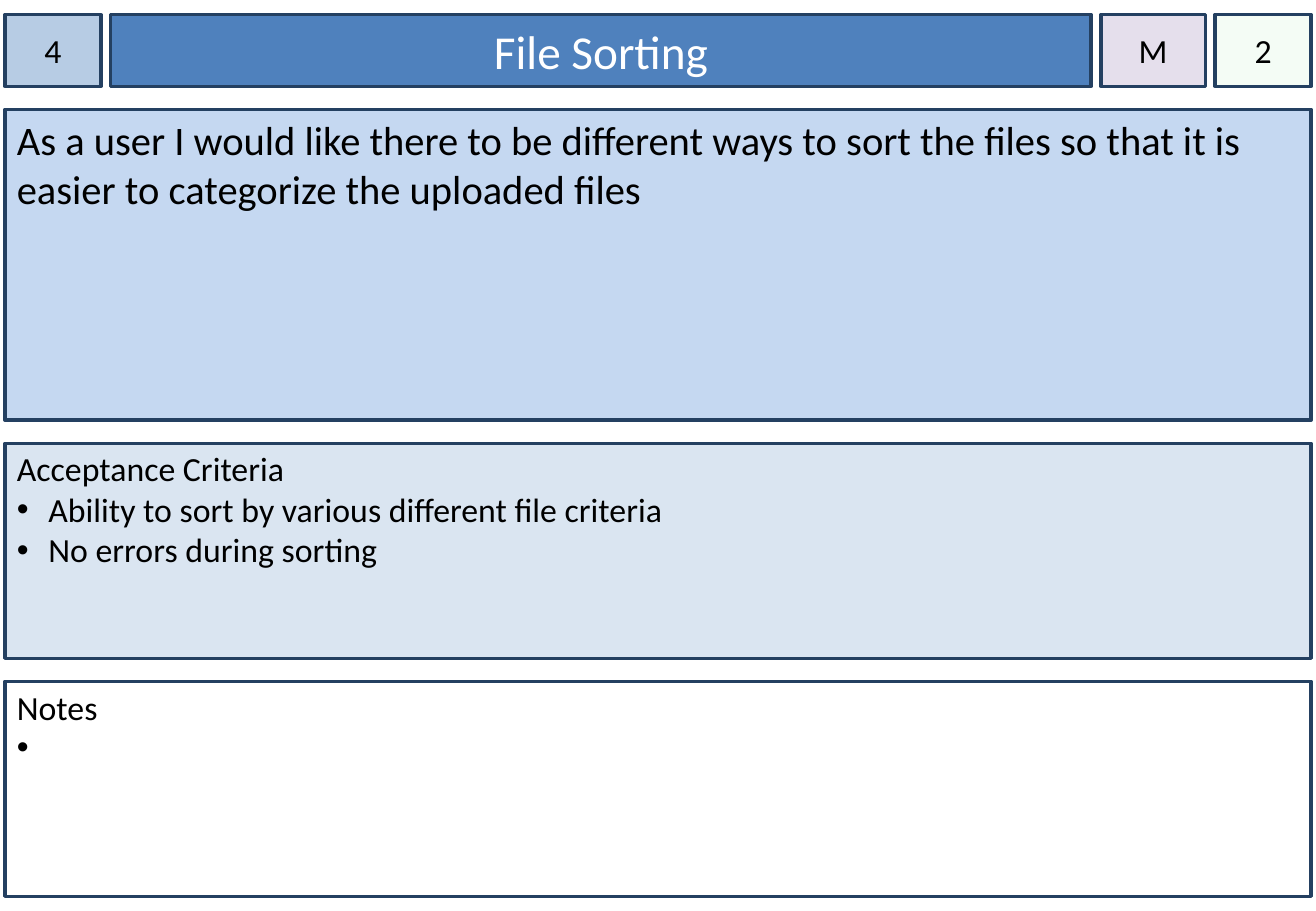
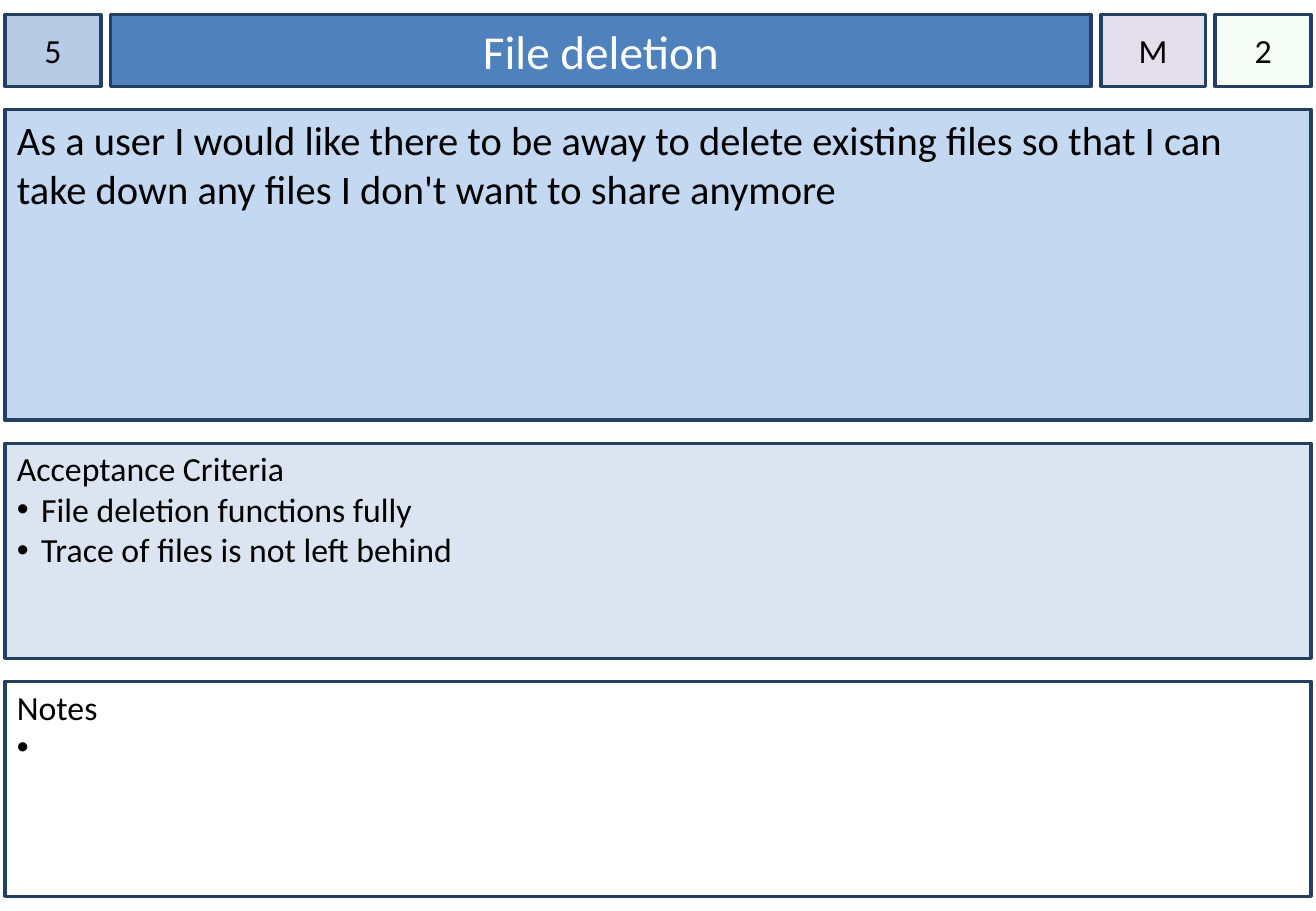
from lxml.etree import SubElement
from pptx import Presentation
from pptx.dml.color import RGBColor
from pptx.enum.shapes import MSO_SHAPE
from pptx.enum.text import MSO_ANCHOR, PP_ALIGN
from pptx.oxml.ns import qn
from pptx.util import Pt

PX = 9144  # EMU in one px, 100 px to the inch
SLIDE_WIDTH, SLIDE_HEIGHT = 1083, 750
LEFT, TOP, CARD_WIDTH = 4, 12, 1075
HEADER_HEIGHT, COLUMN_GAP, ROW_GAP = 59, 8, 19
FONT = "Calibri"

COLORS = {
    "border": "244061", "text": "000000", "title_text": "FFFFFF",
    "number": "B7CCE4", "title": "4F81BD", "priority": "E5DFEC", "estimate": "CCF0CD",
    "story": "C5D8F1", "criteria": "DAE5F1", "notes": "FFFFFF",
}

# Header cells from left to right, then panels from top to bottom
HEADER_WIDTHS = {"number": 79, "title": 807, "priority": 86, "estimate": 79}
PANEL_HEIGHTS = {"story": 256, "criteria": 177, "notes": 177}
OPACITY = {"estimate": 20}
SIZES = {"title": 28, "story": 24}
DEFAULT_SIZE = 20

CARDS = [
    {
        "number": "4", "title": "File Sorting", "priority": "M", "estimate": "2",
        "story": "As a user I would like there to be different ways to sort the files "
                 "so that it is easier to categorize the uploaded files",
        "criteria": ["Ability to sort by various different file criteria",
                     "No errors during sorting"],
        "bullet_indent": 26,
    },
    {
        "number": "5", "title": "File deletion", "priority": "M", "estimate": "2",
        "story": "As a user I would like there to be away to delete existing files "
                 "so that I can take down any files I don't want to share anymore",
        "criteria": ["File deletion functions fully",
                     "Trace of files is not left behind"],
        "bullet_indent": 20,
    },
]


def color(name):
    return RGBColor.from_string(COLORS[name])


def set_attributes(target, values):
    for name, value in values.items():
        setattr(target, name, value)


def add_box(slide, part, left, top, width, height, frame_format):
    """Add a bordered box in the colour of its part and return its text frame."""
    shape = slide.shapes.add_shape(
        MSO_SHAPE.RECTANGLE, *(length * PX for length in (left, top, width, height)))
    shape.shadow.inherit = False
    shape.fill.solid()
    shape.fill.fore_color.rgb = color(part)
    if part in OPACITY:
        fill_color = shape.fill._xPr.find(f"{qn('a:solidFill')}/{qn('a:srgbClr')}")
        SubElement(fill_color, qn("a:alpha"), val=str(OPACITY[part] * 1000))
    shape.line.color.rgb = color("border")
    shape.line.width = Pt(2)
    set_attributes(shape.text_frame, {"word_wrap": True, "margin_bottom": 5 * PX, **frame_format})
    return shape.text_frame


def write_paragraph(paragraph, text, part, alignment=PP_ALIGN.LEFT):
    paragraph.alignment = alignment
    run = paragraph.add_run()
    run.text = text
    set_attributes(run.font, {"name": FONT, "size": Pt(SIZES.get(part, DEFAULT_SIZE))})
    run.font.color.rgb = color("title_text" if part == "title" else "text")


def add_bullet(paragraph, indent):
    properties = paragraph._p.get_or_add_pPr()
    properties.set("marL", str(indent * PX))
    properties.set("indent", str(-indent * PX))
    bullet_color = SubElement(properties, qn("a:buClr"))
    SubElement(bullet_color, qn("a:srgbClr"), val=COLORS["text"])
    SubElement(properties, qn("a:buFont"), typeface="Arial")
    SubElement(properties, qn("a:buChar"), char="•")


def add_header(slide, card):
    left = LEFT
    for part, width in HEADER_WIDTHS.items():
        side_margin = 10 * PX if part == "title" else 0
        text_frame = add_box(slide, part, left, TOP, width, HEADER_HEIGHT, {
            "vertical_anchor": MSO_ANCHOR.MIDDLE, "margin_top": 5 * PX,
            "margin_left": side_margin, "margin_right": side_margin})
        write_paragraph(text_frame.paragraphs[0], card[part], part, PP_ALIGN.CENTER)
        left += width + COLUMN_GAP


def add_panels(slide, card):
    # Each panel has a lead text and bullets; an open bullet waits for notes
    contents = {
        "story": (card["story"], [], 0),
        "criteria": ("Acceptance Criteria", card["criteria"], card["bullet_indent"]),
        "notes": ("Notes", [" "], 20),
    }
    top = TOP + HEADER_HEIGHT + ROW_GAP
    for part, height in PANEL_HEIGHTS.items():
        lead, bullets, indent = contents[part]
        text_frame = add_box(slide, part, LEFT, top, CARD_WIDTH, height, {
            "vertical_anchor": MSO_ANCHOR.TOP, "margin_top": (4 if bullets else 5) * PX,
            "margin_left": 10 * PX, "margin_right": 10 * PX})
        write_paragraph(text_frame.paragraphs[0], lead, part)
        for text in bullets:
            paragraph = text_frame.add_paragraph()
            write_paragraph(paragraph, text, part)
            add_bullet(paragraph, indent)
        top += height + ROW_GAP


def main():
    presentation = Presentation()
    set_attributes(presentation, {
        "slide_width": SLIDE_WIDTH * PX, "slide_height": SLIDE_HEIGHT * PX})
    for card in CARDS:
        slide = presentation.slides.add_slide(presentation.slide_layouts[6])
        add_header(slide, card)
        add_panels(slide, card)
    presentation.save("out.pptx")


if __name__ == "__main__":
    main()
